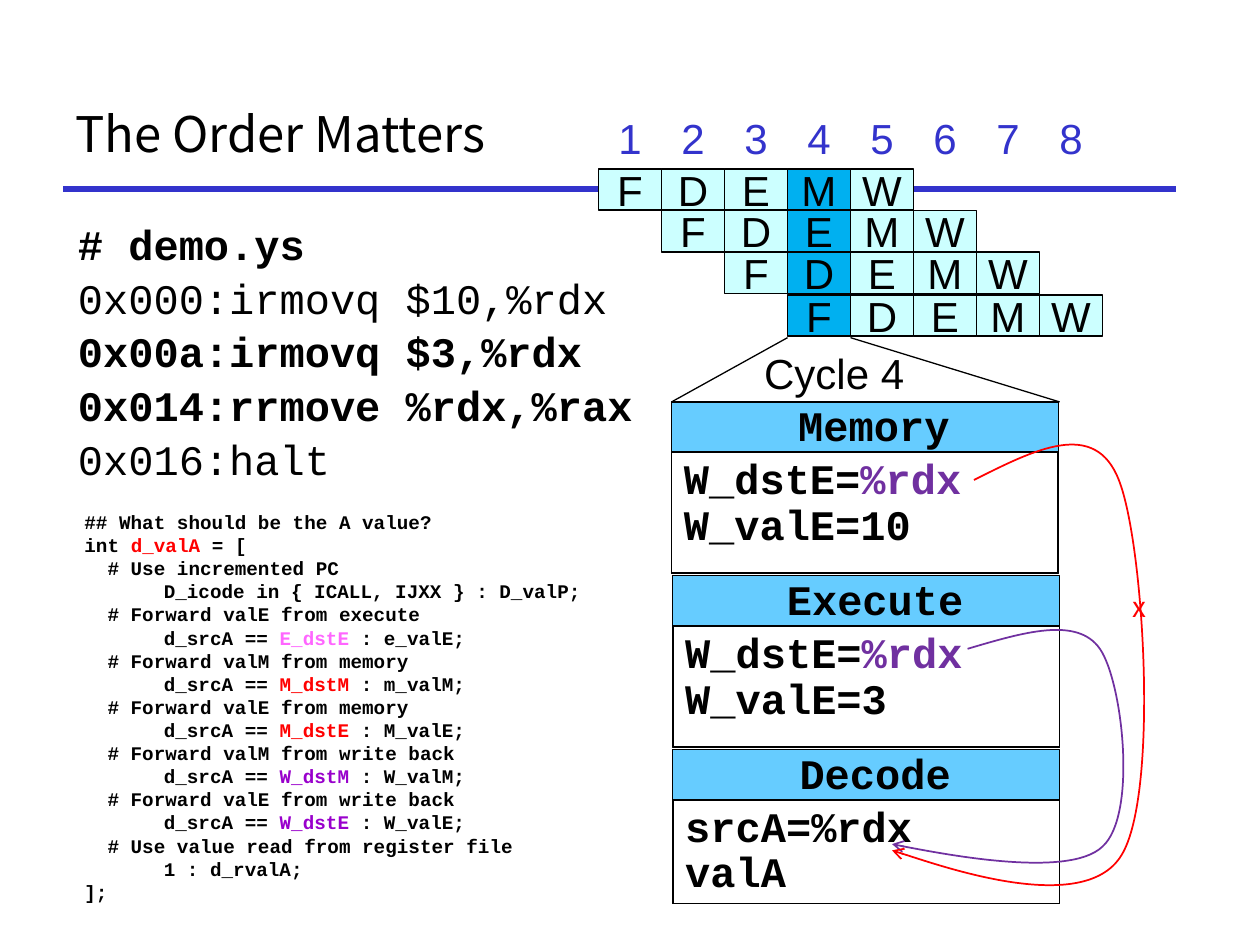
"""Build a slide on forwarding priority in a pipelined processor."""
from dataclasses import dataclass
from typing import NamedTuple, Optional

from lxml import etree
from pptx import Presentation
from pptx import util as u
from pptx.dml.color import RGBColor
from pptx.enum import shapes, text
from pptx.oxml.ns import qn

PX = 9144


@dataclass(frozen=True)
class Theme:
    ink: str = "000000"
    paper: str = "FFFFFF"
    rule: str = "3333CC"
    cell: str = "CCFFFF"
    now: str = "00B0F0"
    head: str = "66CCFF"
    reg: str = "7030A0"
    red: str = "FF0000"
    pink: str = "FF66FF"
    plum: str = "9900CC"
    sans: str = "Arial"
    mono: str = "Courier New"
    main: str = "Noto Sans CJK KR"
    title: int = 28
    big: int = 24
    mark: int = 16
    code: int = 11


T = Theme()


class Run(NamedTuple):
    text: str
    color: str = T.ink
    bold: Optional[bool] = None


class Box(NamedTuple):
    x: int
    y: int
    w: int
    h: int

    def emu(self) -> list:
        return [n * PX for n in self]


class Case(NamedTuple):
    note: str
    reg: str
    color: str
    value: str


class Stage(NamedTuple):
    name: str
    box: Box
    lines: list


class Curve(NamedTuple):
    box: Box
    color: str
    start: tuple
    bends: list


def write(shape, lines: list, *, font: str = T.sans, size: int = T.big, bold: bool = False,
          color: str = T.ink, align: str = "LEFT", anchor: str = "TOP", wrap: bool = True,
          grow: bool = False, inset: tuple = (10, 5), space: Optional[float] = None,
          before: float = 0, hang: int = 0, tab: int = 0) -> None:
    """Fill a shape with lines, each a string or a list of runs."""
    frame = shape.text_frame
    frame.word_wrap = wrap
    frame.auto_size = text.MSO_AUTO_SIZE.SHAPE_TO_FIT_TEXT if grow else text.MSO_AUTO_SIZE.NONE
    frame.vertical_anchor = getattr(text.MSO_ANCHOR, anchor)
    frame.margin_left = frame.margin_right = inset[0] * PX
    frame.margin_top = frame.margin_bottom = inset[1] * PX
    for i, line in enumerate(lines):
        para = frame.add_paragraph() if i else frame.paragraphs[0]
        para.alignment = getattr(text.PP_ALIGN, align)
        para.line_spacing = space
        if i and before:
            para.space_before = u.Pt(before)
        props = para._p.get_or_add_pPr()
        if hang:
            props.set("marL", str(hang * PX))
            props.set("indent", str(-hang * PX))
        if tab:
            stops = etree.SubElement(props, qn("a:tabLst"))
            etree.SubElement(stops, qn("a:tab"), pos=str(tab * PX), algn="l")
        for part in [Run(line, color)] if isinstance(line, str) else line:
            run = para.add_run()
            run.text = part.text
            run.font.name, run.font.size = font, u.Pt(size)
            run.font.bold = bold if part.bold is None else part.bold
            run.font.color.rgb = RGBColor.from_string(part.color)


def label(slide, box: Box, lines: list, **form) -> None:
    """Add a text box."""
    write(slide.shapes.add_textbox(*box.emu()), lines, **form)


def block(slide, box: Box, fill: str, width: float = 0):
    """Add a filled rectangle, outlined when a width is given."""
    rect = slide.shapes.add_shape(shapes.MSO_SHAPE.RECTANGLE, *box.emu())
    rect.shadow.inherit = False
    rect.fill.solid()
    rect.fill.fore_color.rgb = RGBColor.from_string(fill)
    if width:
        stroke(rect, T.ink, width)
    else:
        rect.line.fill.background()
    return rect


def stroke(shape, color: str, width: float) -> None:
    """Set the line of a shape."""
    shape.line.color.rgb = RGBColor.from_string(color)
    shape.line.width = u.Pt(width)


def rule(slide, ends: tuple, color: str = T.ink, width: float = 0.75) -> None:
    """Add a straight line."""
    line = slide.shapes.add_connector(shapes.MSO_CONNECTOR.STRAIGHT, *[n * PX for n in ends])
    stroke(line, color, width)
    etree.SubElement(line._element.spPr, qn("a:effectLst"))


def cell(slide, col: int, top: int, high: int, word: str, color: str, fill: str,
         width: float = 0) -> None:
    """Add one box of the pipeline chart."""
    rect = block(slide, Box(475 + 50 * col, top, 50, high), fill, width)
    write(rect, [word], color=color, align="CENTER", anchor="MIDDLE", wrap=False)


def panel(slide, stage: Stage) -> None:
    """Add a stage with its heading and its signals."""
    x, y, w, h = stage.box
    wide = 20 * len(stage.name) + 1
    block(slide, stage.box, T.head, 0.75)
    label(slide, Box(x + 160 - wide // 2, y + 3, wide, 37), [stage.name], font=T.mono, bold=True,
          align="CENTER", wrap=False, grow=True, inset=(0, 0), space=0.9)
    body = block(slide, Box(x, y + 40, w, h - 40), T.paper, 1)
    write(body, stage.lines, font=T.mono, bold=True, space=0.9, hang=38)


def arrow(slide, curve: Curve) -> None:
    """Add a curved arrow made of cubic bends."""
    x, y, w, h = curve.box
    build = slide.shapes.build_freeform(x, y, scale=PX)
    build.add_line_segments([(x + w, y + h)], close=False)
    shape = build.convert_to_shape()
    shape.shadow.inherit = False
    shape.fill.background()
    stroke(shape, curve.color, 1)
    etree.SubElement(shape.line._get_or_add_ln(), qn("a:tailEnd"), type="arrow")
    track = next(shape._element.iter(qn("a:path")))
    for old in list(track):
        track.remove(old)
    for kind, dots in [("moveTo", [curve.start])] + [("cubicBezTo", b) for b in curve.bends]:
        step = etree.SubElement(track, qn("a:" + kind))
        for px, py in dots:
            etree.SubElement(step, qn("a:pt"), x=str(px - x), y=str(py - y))


DEMO = ["# demo.ys", "0x000:irmovq $10,%rdx", "0x00a:irmovq $3,%rdx",
        "0x014:rrmove %rdx,%rax", "0x016:halt"]
PLAIN = (1, 4)
CASES = [
    Case("valE from execute", "E_dstE", T.pink, "e_valE"),
    Case("valM from memory", "M_dstM", T.red, "m_valM"),
    Case("valE from memory", "M_dstE", T.red, "M_valE"),
    Case("valM from write back", "W_dstM", T.plum, "W_valM"),
    Case("valE from write back", "W_dstE", T.plum, "W_valE"),
]
DEST = [Run("W_dstE="), Run("%rdx", T.reg)]
STAGES = [
    Stage("Memory", Box(533, 319, 307, 136), [DEST, "W_valE=10"]),
    Stage("Execute", Box(534, 457, 307, 136), [DEST, "W_valE=3"]),
    Stage("Decode", Box(534, 595, 307, 122), ["srcA=%rdx", "valA"]),
]
CURVES = [
    Curve(Box(708, 500, 183, 183), T.reg, (768, 515),
          [[(812, 502), (855, 489), (873, 515)], [(891, 541), (903, 647), (875, 672)],
           [(848, 698), (706, 670), (708, 670)]]),
    Curve(Box(708, 353, 200, 347), T.red, (773, 381),
          [[(821, 357), (869, 332), (888, 381)], [(908, 431), (920, 631), (890, 679)],
           [(860, 728), (706, 674), (708, 675)]]),
]


def listing() -> list:
    """Return the lines of the forwarding logic."""
    lines = ["## What should be the A value?",
             [Run("int "), Run("d_valA ", T.red), Run("= [")],
             "  # Use incremented PC", "\tD_icode in { ICALL, IJXX } : D_valP;"]
    for case in CASES:
        lines += [f"  # Forward {case.note}",
                  [Run("\td_srcA == "), Run(case.reg, case.color), Run(f" : {case.value};")]]
    return lines + ["  # Use value read from register file", "\t1 : d_rvalA;", "];"]


def main() -> None:
    """Build and save the slide."""
    deck = Presentation()
    deck.slide_width, deck.slide_height = 1000 * PX, 750 * PX
    slide = deck.slides.add_slide(deck.slide_layouts[5])
    rule(slide, (50, 150, 933, 150), T.rule, 3)
    title = slide.shapes.title
    title.left, title.top, title.width, title.height = Box(50, 63, 424, 85).emu()
    write(title, ["The Order Matters"], font=T.main, size=T.title, anchor="MIDDLE")
    label(slide, Box(52, 173, 492, 391),
          [[Run(line, bold=i not in PLAIN)] for i, line in enumerate(DEMO)],
          font=T.mono, space=0.9, before=4.8, hang=38)
    for col in range(8):
        cell(slide, col, 92, 34, str(col + 1), T.rule, T.paper)
    for row in range(4):
        for i, word in enumerate("FDEMW"):
            fill = T.now if row + i == 3 else T.cell
            cell(slide, row + i, 134 + row * 100 // 3, 33, word, T.ink, fill, 1)
    rule(slide, (625, 268, 533, 319))
    rule(slide, (675, 268, 841, 319))
    label(slide, Box(606, 280, 112, 36), ["Cycle 4"], align="CENTER", wrap=False, grow=True,
          inset=(0, 0), space=0.9)
    for stage in STAGES:
        panel(slide, stage)
    for curve in CURVES:
        arrow(slide, curve)
    label(slide, Box(889, 463, 34, 37), ["x"], font=T.main, size=T.mark, color=T.red,
          wrap=False, grow=True)
    label(slide, Box(62, 400, 427, 325), listing(), font=T.mono, size=T.code, bold=True,
          grow=True, inset=(5, 5), tab=63)
    deck.save("out.pptx")


if __name__ == "__main__":
    main()
